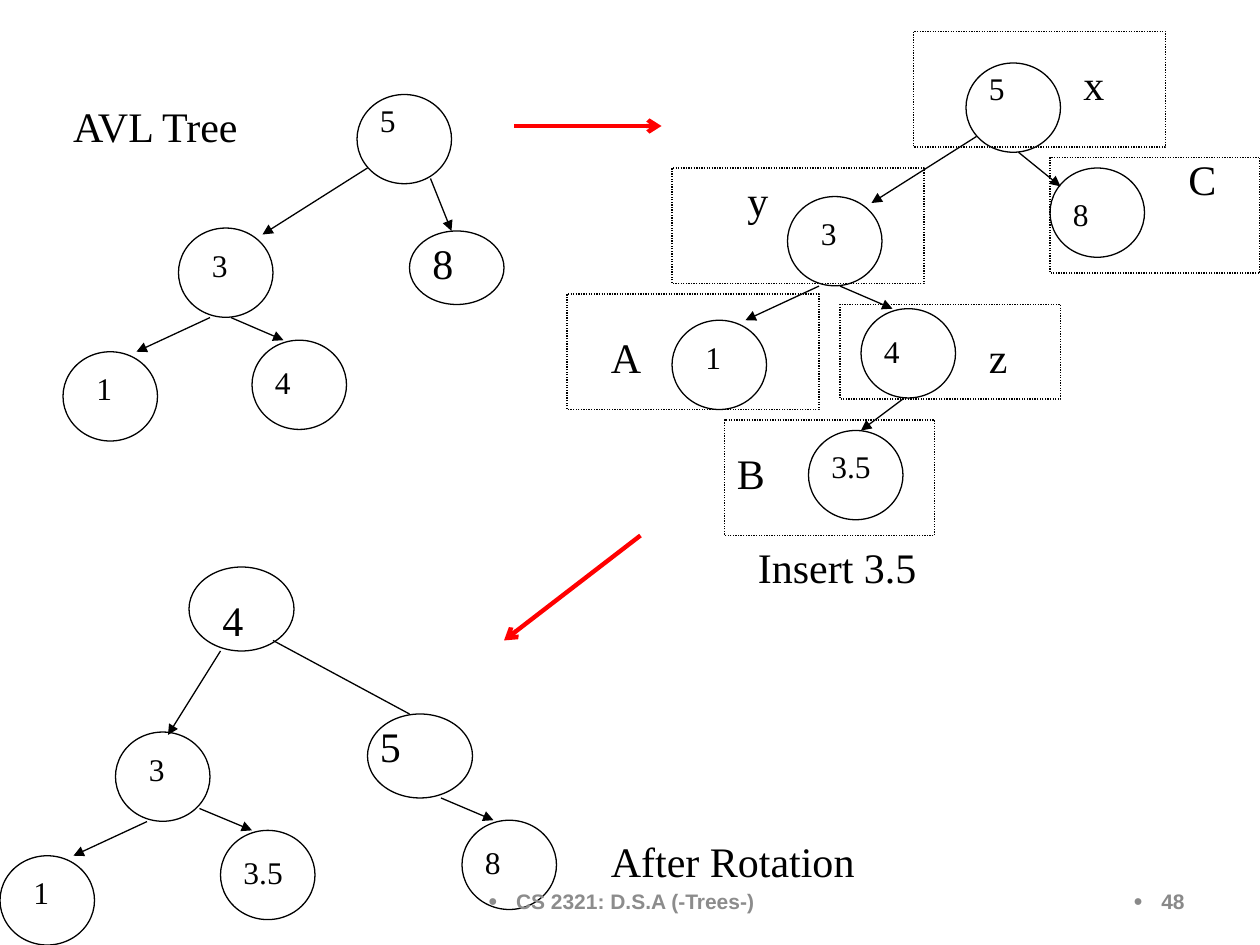
from dataclasses import dataclass

from lxml import etree
from pptx import Presentation
from pptx import util as u
from pptx.dml.color import RGBColor
from pptx.enum import dml, shapes, text
from pptx.oxml import ns

COLORS = {"ink": "000000", "step": "FF0000", "footer": "8C8C8C", "number": "898989"}
SERIF, SANS = "Times New Roman", "Arial"


@dataclass
class Node:
    key: str
    x: float
    y: float
    dx: float = 6
    dy: float = 9.5
    width: float = 54
    height: float = 51
    size: float = 18


@dataclass
class Region:
    """Dotted frame around a part of the tree, with its own label position."""
    label: str
    x: float
    y: float
    width: float
    height: float
    label_x: float
    label_y: float


@dataclass
class Edge:
    x1: float
    y1: float
    x2: float
    y2: float
    head: str = "triangle"
    color: str = "ink"
    weight: float = 0.75


NODES = [
    # AVL tree
    Node("5", 204, 54, dy=0),
    Node("3", 102, 130.3, dx=12, dy=6.5),
    Node("1", 36, 201, dx=12, dy=6.5),
    Node("4", 144, 194.4),
    Node("8", 234, 132, dy=0, height=42, size=24),
    # After inserting 3.5
    Node("5", 552, 36, dy=0),
    Node("3", 450, 112.3, dx=12, dy=6.5),
    Node("1", 384, 183, dx=12, dy=6.5),
    Node("4", 492, 176.4),
    Node("8", 600, 96, dy=12),
    Node("3.5", 462, 246, dy=6),
    # After rotation
    Node("4", 108, 324, dx=12, dy=12, width=60, height=48, size=24),
    Node("5", 210, 408, dx=0, dy=0, width=60, height=48, size=24),
    Node("3", 66, 418.3, dx=12, dy=6.5),
    Node("1", 0, 489, dx=12, dy=6.5),
    Node("3.5", 126, 474.5),
    Node("8", 264, 468.7),
]

EDGES = [
    # AVL tree
    Edge(210, 96, 150, 134),
    Edge(246, 102, 258, 132),
    Edge(120, 181.5, 78, 201),
    Edge(132, 181.5, 162, 194.4),
    # After inserting 3.5
    Edge(558, 78, 498, 116),
    Edge(582, 87, 606, 106.5),
    Edge(468, 163.5, 426, 183),
    Edge(480, 163.5, 510, 176.4),
    Edge(516, 228, 492, 246),
    # After rotation
    Edge(126, 372, 96, 420),
    Edge(156, 366, 234, 408, head="none"),
    Edge(84, 469.5, 42, 489),
    Edge(114, 462, 144, 474.5),
    Edge(252, 456, 282, 468.7),
    # Steps between trees
    Edge(294, 72, 378, 72, "arrow", "step", 2.5),
    Edge(366, 306, 288, 366, "arrow", "step", 2.5),
]

REGIONS = [
    Region("x", 522, 18, 144, 66, 612, 30),
    Region("y", 384, 96, 144, 66, 420, 96),
    Region("A", 324, 168, 144, 66, 342, 186),
    Region("z", 480, 174, 126, 54, 558, 186),
    Region("B", 414, 240, 120, 66, 414, 252),
    Region("C", 600, 90, 120, 66, 672, 84),
]

CAPTIONS = [
    (" AVL Tree", 30, 54),
    ("Insert 3.5", 426, 306),
    ("After Rotation", 342, 474),
]


def rgb(name: str) -> RGBColor:
    return RGBColor.from_string(COLORS[name])


def add_bullet(paragraph) -> None:
    props = paragraph._p.get_or_add_pPr()
    props.set("marL", str(u.Pt(6)))
    props.set("indent", str(u.Pt(-16)))
    etree.SubElement(props, ns.qn("a:buSzPct")).set("val", "75000")
    etree.SubElement(props, ns.qn("a:buFont")).set("typeface", SANS)
    etree.SubElement(props, ns.qn("a:buChar")).set("char", "●")


def add_text(slide, wording: str, x: float, y: float, width: float, height: float, *,
             size: float = 24, font: str = SERIF, color: str = "ink", bold: bool = False,
             align=text.PP_ALIGN.LEFT, anchor=text.MSO_ANCHOR.TOP, bullet: bool = False) -> None:
    frame = slide.shapes.add_textbox(u.Pt(x), u.Pt(y), u.Pt(width), u.Pt(height)).text_frame
    frame.word_wrap = True
    frame.vertical_anchor = anchor
    paragraph = frame.paragraphs[0]
    paragraph.alignment = align
    if bullet:
        add_bullet(paragraph)
    run = paragraph.add_run()
    run.text = wording
    run.font.size = u.Pt(size)
    run.font.name = font
    run.font.bold = bold
    run.font.color.rgb = rgb(color)


def add_outline(slide, kind, x: float, y: float, width: float, height: float):
    outline = slide.shapes.add_shape(kind, u.Pt(x), u.Pt(y), u.Pt(width), u.Pt(height))
    outline.shadow.inherit = False
    outline.fill.background()
    outline.line.color.rgb = rgb("ink")
    outline.line.width = u.Pt(0.75)
    return outline


def draw_node(slide, node: Node) -> None:
    add_outline(slide, shapes.MSO_SHAPE.OVAL, node.x, node.y, node.width, node.height)
    add_text(slide, node.key, node.x + node.dx, node.y + node.dy, 60, 1.2 * node.size + 7,
             size=node.size)


def draw_region(slide, region: Region) -> None:
    frame = add_outline(slide, shapes.MSO_SHAPE.RECTANGLE, region.x, region.y,
                        region.width, region.height)
    frame.line.dash_style = dml.MSO_LINE.ROUND_DOT
    add_text(slide, region.label, region.label_x, region.label_y, 48, 36)


def draw_edge(slide, edge: Edge) -> None:
    connector = slide.shapes.add_connector(shapes.MSO_CONNECTOR.STRAIGHT, u.Pt(edge.x1),
                                           u.Pt(edge.y1), u.Pt(edge.x2), u.Pt(edge.y2))
    connector.line.color.rgb = rgb(edge.color)
    connector.line.width = u.Pt(edge.weight)
    etree.SubElement(connector.line._get_or_add_ln(), ns.qn("a:tailEnd")).set("type", edge.head)
    etree.SubElement(connector._element.spPr, ns.qn("a:effectLst"))


def main() -> None:
    deck = Presentation()
    deck.slide_width, deck.slide_height = u.Pt(720), u.Pt(540)
    slide = deck.slides.add_slide(deck.slide_layouts[6])
    for node in NODES:
        draw_node(slide, node)
    for edge in EDGES:
        draw_edge(slide, edge)
    for region in REGIONS:
        draw_region(slide, region)
    for wording, x, y in CAPTIONS:
        add_text(slide, wording, x, y, 240, 36)
    footer = dict(size=12, font=SANS, bold=True, anchor=text.MSO_ANCHOR.MIDDLE, bullet=True)
    add_text(slide, "CS 2321: D.S.A (-Trees-)", 246, 500.5, 228, 28.75, color="footer",
             align=text.PP_ALIGN.CENTER, **footer)
    add_text(slide, "48", 516, 500.5, 168, 28.75, color="number",
             align=text.PP_ALIGN.RIGHT, **footer)
    deck.save("out.pptx")


if __name__ == "__main__":
    main()
